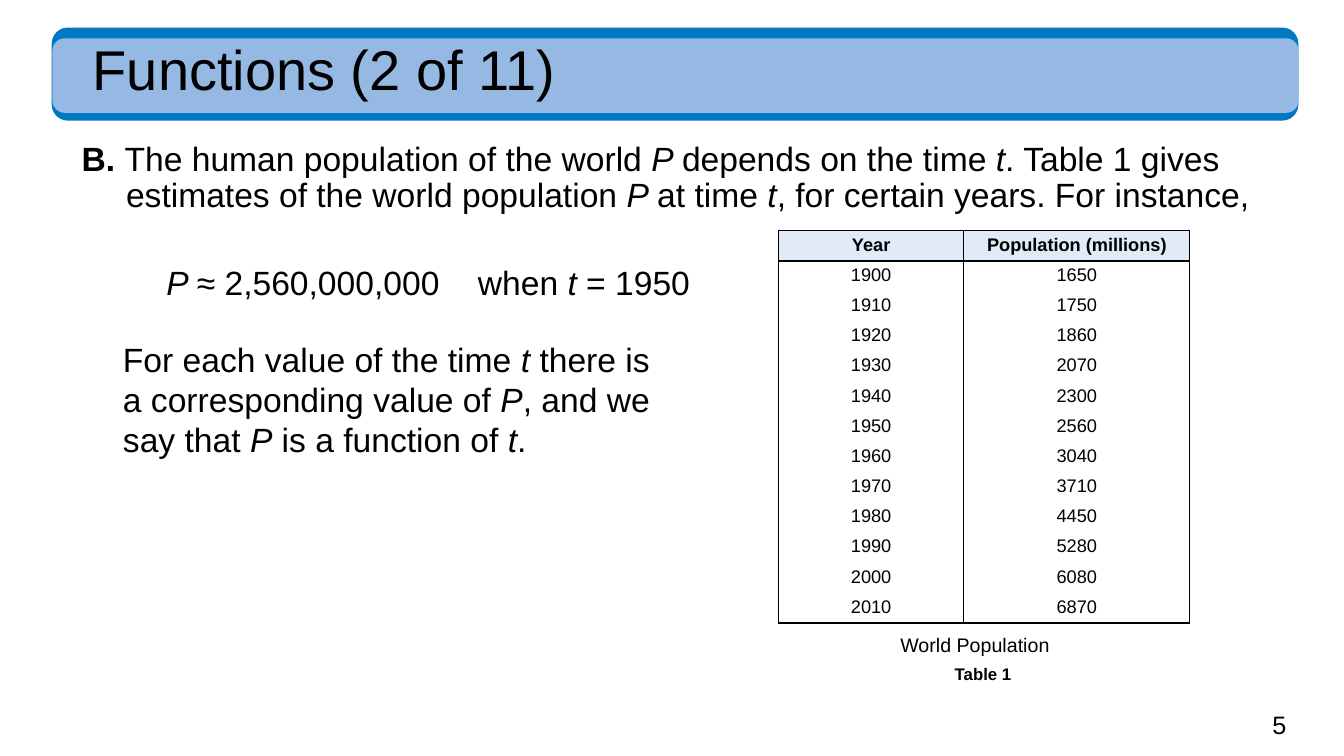
from lxml.etree import SubElement
from pptx import Presentation
from pptx.dml.color import RGBColor
from pptx.enum.shapes import MSO_SHAPE as Shape
from pptx.enum.text import MSO_ANCHOR as Anchor, PP_ALIGN as Align
from pptx.oxml.ns import qn
from pptx.util import Inches, Pt

# Content: underscores enclose italic passages
TITLE = "Functions (2 of 11)"
INTRO_LEAD = "B. "
INTRO = ("The human population of the world _P _depends on the time _t_. "
         "Table 1 gives estimates of the world population _P _at time _t_, "
         "for certain years. For instance,")
EXAMPLE = "_P _≈ 2,560,000,000\twhen _t _= 1950"
CONCLUSION = ("For each value of the time _t _there is a corresponding value "
              "of _P_, and we say that _P_ is a function of _t_.")
CAPTION = "World Population"
TABLE_LABEL = "Table 1"
PAGE = "5"
HEADINGS = ("Year", "Population (millions)")
POPULATIONS = (1650, 1750, 1860, 2070, 2300, 2560,
               3040, 3710, 4450, 5280, 6080, 6870)
FIRST_YEAR, YEAR_STEP = 1900, 10

BLACK = RGBColor(0x00, 0x00, 0x00)
BLUE = RGBColor(0x00, 0x79, 0xC2)
LIGHT_BLUE = RGBColor(0x95, 0xB9, 0xE2)
HEADING_BLUE = RGBColor(0xE1, 0xEB, 0xF7)
FONT = "Arial"

# Layout in inches
SLIDE_W, SLIDE_H = 13.33, 7.5
BANNER_LEFT = 0.52
TABLE_LEFT, TABLE_TOP = 7.72, 2.29
COLUMN_WIDTHS = (1.84, 2.24)
TABLE_HEIGHT = 3.89
INTRO_INDENT = 0.44
EXAMPLE_TAB = 3.09

prs = Presentation()
prs.slide_width, prs.slide_height = Inches(SLIDE_W), Inches(SLIDE_H)
slide = prs.slides.add_slide(prs.slide_layouts[6])


def write(frame, text, size=24, bold=False, lead="", align=Align.LEFT,
          spacing=None, hanging=0, tab=None):
    """Fill a text frame; a lead is bold, underscores switch italics."""
    paragraph = frame.paragraphs[0]
    props = paragraph._p.get_or_add_pPr()
    if hanging:
        props.set("marL", str(Inches(hanging)))
        props.set("indent", str(-Inches(hanging)))
    if tab:
        stops = SubElement(props, qn("a:tabLst"))
        SubElement(stops, qn("a:tab"), pos=str(Inches(tab)), algn="l")
    paragraph.alignment = align
    if spacing:
        paragraph.line_spacing = spacing
    pieces = [(lead, True, False)]
    pieces += [(piece, bold, i % 2 == 1)
               for i, piece in enumerate(text.split("_"))]
    for piece, is_bold, is_italic in pieces:
        if piece:
            run = paragraph.add_run()
            run.text = piece
            run.font.name, run.font.size = FONT, Pt(size)
            run.font.bold, run.font.italic = is_bold, is_italic
            run.font.color.rgb = BLACK


def add_text(left, top, width, height, text, inset=(0, 0),
             anchor=Anchor.TOP, **style):
    box = slide.shapes.add_textbox(*map(Inches, (left, top, width, height)))
    frame = box.text_frame
    frame.word_wrap = True
    frame.vertical_anchor = anchor
    frame.margin_left = frame.margin_right = Inches(inset[0])
    frame.margin_top = frame.margin_bottom = Inches(inset[1])
    write(frame, text, **style)


def set_borders(cell, drawn):
    props = cell._tc.get_or_add_tcPr()
    for position, side in enumerate("LRTB"):
        line = props.makeelement(qn(f"a:ln{side}"), {"w": str(Pt(1))})
        props.insert(position, line)
        if side in drawn:
            fill = SubElement(line, qn("a:solidFill"))
            SubElement(fill, qn("a:srgbClr"), val=str(BLACK))
        else:
            SubElement(line, qn("a:noFill"))


# Title banner
for top, width, height, color in ((0.28, 12.35, 0.91, BLUE),
                                  (0.38, 12.36, 0.74, LIGHT_BLUE)):
    banner = slide.shapes.add_shape(
        Shape.ROUNDED_RECTANGLE,
        *map(Inches, (BANNER_LEFT, top, width, height)))
    banner.shadow.inherit = False
    banner.fill.solid()
    banner.fill.fore_color.rgb = color
    if color == BLUE:
        banner.line.color.rgb = color
        banner.line.width = Pt(1)
    else:
        banner.line.fill.background()
add_text(0.92, 0.42, 11.5, 0.74, TITLE, size=40, spacing=0.9)

# Explanation
add_text(0.81, 1.41, 11.72, 1.07, INTRO, lead=INTRO_LEAD, spacing=0.9,
         hanging=INTRO_INDENT)
add_text(1.65, 2.64, 5.34, 0.43, EXAMPLE, spacing=0.9, tab=EXAMPLE_TAB)
add_text(1.22, 3.36, 5.26, 1.43, CONCLUSION)

# Population table
rows = [HEADINGS] + [(str(FIRST_YEAR + YEAR_STEP * i), str(population))
                     for i, population in enumerate(POPULATIONS)]
table = slide.shapes.add_table(
    len(rows), len(HEADINGS), Inches(TABLE_LEFT), Inches(TABLE_TOP),
    Inches(sum(COLUMN_WIDTHS)), Inches(TABLE_HEIGHT)).table
table.horz_banding = False
for column, width in zip(table.columns, COLUMN_WIDTHS):
    column.width = Inches(width)
for r, values in enumerate(rows):
    table.rows[r].height = Inches(TABLE_HEIGHT / len(rows))
    for c, value in enumerate(values):
        cell = table.cell(r, c)
        cell.margin_left = cell.margin_right = Inches(0.08)
        cell.margin_top = cell.margin_bottom = Inches(0.04)
        write(cell.text_frame, value, size=13, bold=r == 0,
              align=Align.CENTER)
        if r == 0:
            cell.fill.solid()
            cell.fill.fore_color.rgb = HEADING_BLUE
        else:
            cell.fill.background()
        drawn = "LR"
        if r <= 1:
            drawn += "T"
        if r in (0, len(rows) - 1):
            drawn += "B"
        set_borders(cell, drawn)

# Table caption and page number
add_text(8.76, 6.28, 1.82, 0.31, CAPTION, size=14, align=Align.CENTER)
add_text(8.84, 6.58, 1.82, 0.26, TABLE_LABEL, size=12, bold=True,
         align=Align.CENTER)
add_text(12.52, 6.99, 0.71, 0.4, PAGE, size=18, inset=(0.1, 0.05),
         anchor=Anchor.MIDDLE)

prs.save("out.pptx")
